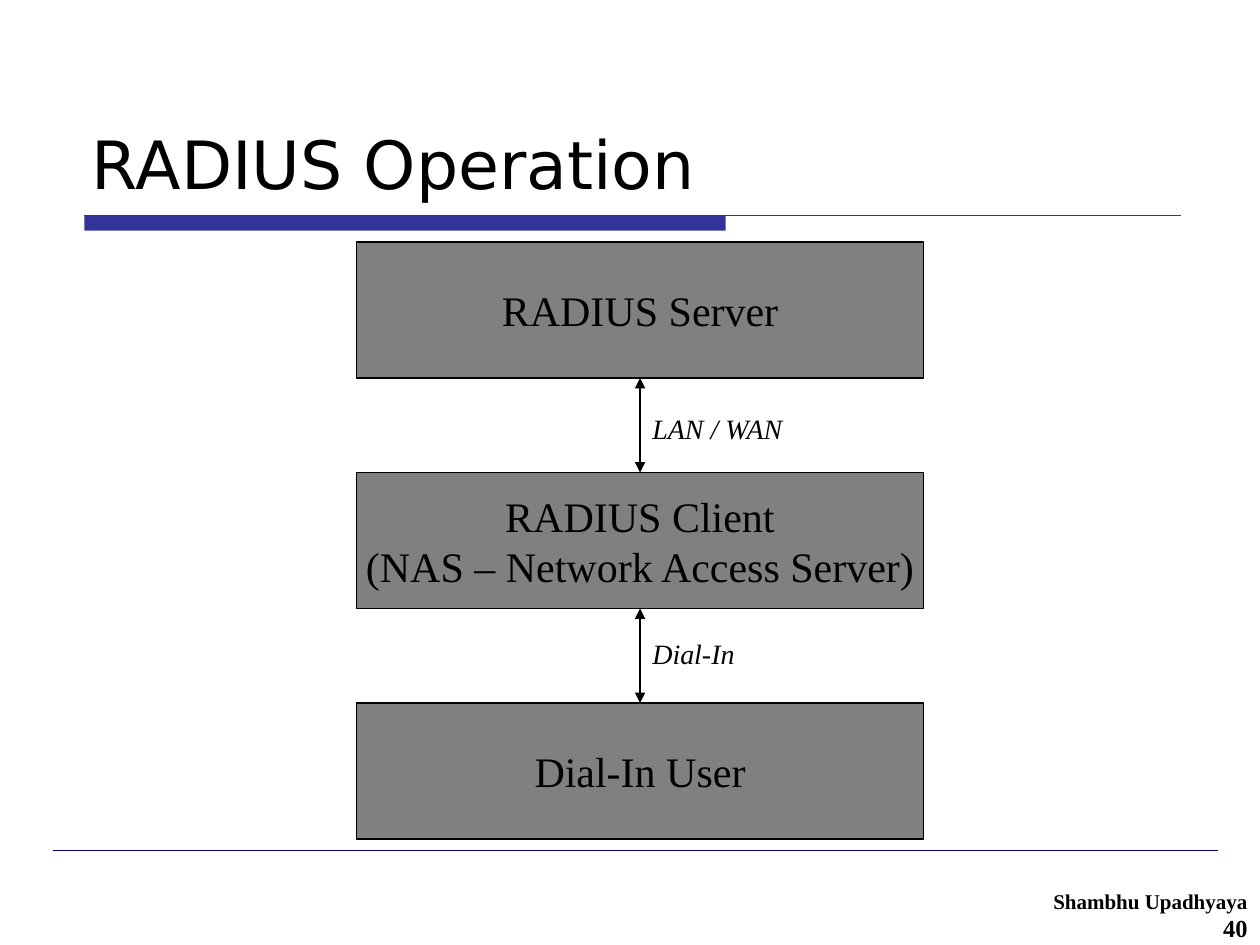
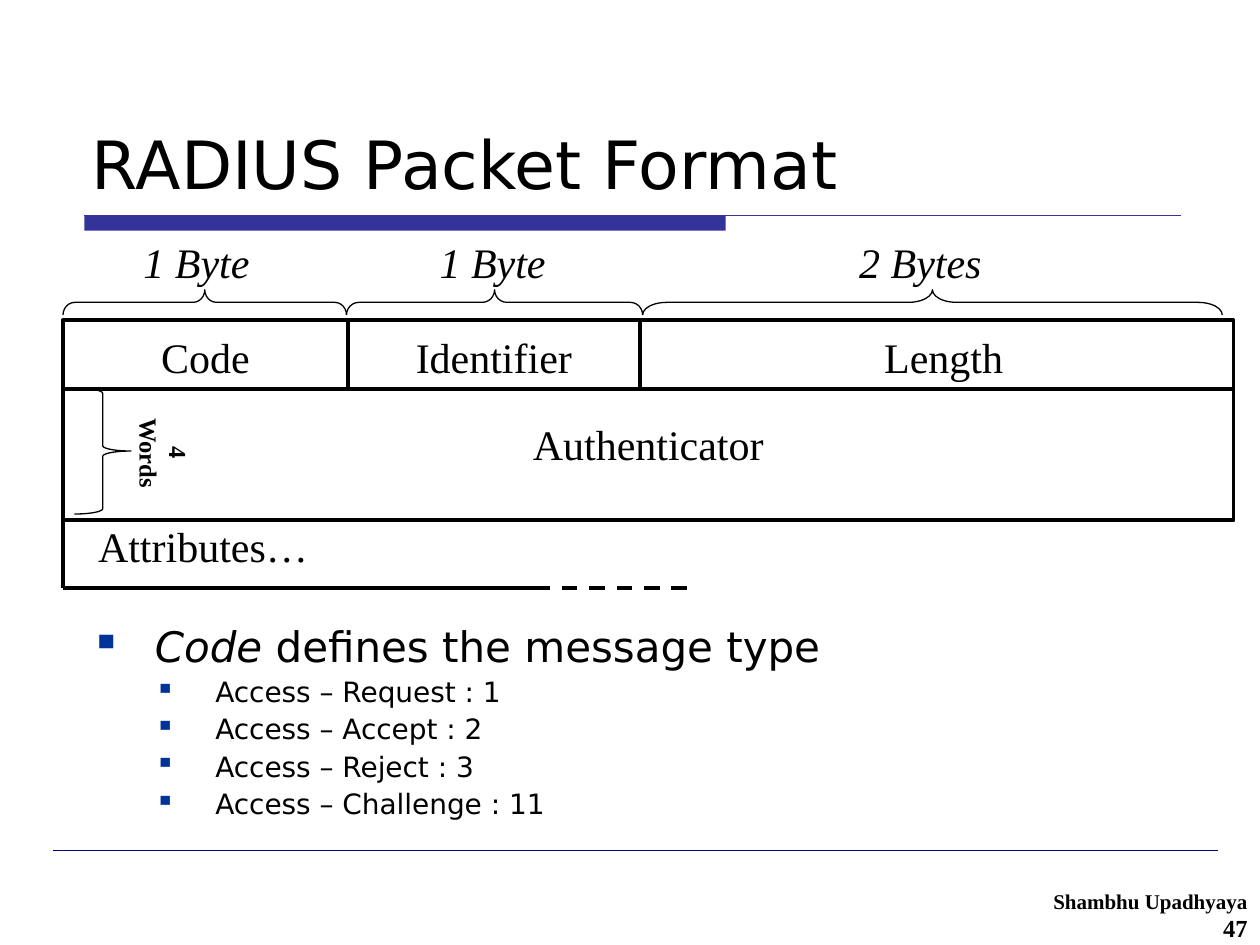
"""Builds two slides on RADIUS: its operation and its packet format."""
from dataclasses import dataclass

import pptx
import pptx.dml.color
import pptx.enum.dml
import pptx.enum.shapes
import pptx.enum.text
import pptx.oxml.ns
import pptx.util
from lxml import etree

Inches = pptx.util.Inches
Pt = pptx.util.Pt
SHAPE = pptx.enum.shapes.MSO_SHAPE
ALIGN = pptx.enum.text.PP_ALIGN
ANCHOR = pptx.enum.text.MSO_ANCHOR


@dataclass(frozen=True)
class Theme:
    """Colours, fonts, type sizes and line widths of the deck."""
    ink: str = "000000"
    band: str = "333399"
    footer_rule: str = "000080"
    bullet: str = "003399"
    node: str = "808080"
    sans: str = "DejaVu Sans"
    serif: str = "Times New Roman"
    title: int = 38
    large: int = 24
    medium: int = 16
    small: int = 14
    author: int = 12
    hairline: float = 0.25
    thin: float = 0.75
    thick: float = 2.25


@dataclass(frozen=True)
class Field:
    """A header field with its label, size note and brace positions."""
    name: str
    left: float
    width: float
    size: str
    size_left: float
    size_width: float
    brace_left: float
    brace_right: float


THEME = Theme()
TABLE_LEFT, TABLE_RIGHT = 0.5, 9.79
TABLE_TOP, HEADER_BOTTOM, TABLE_BOTTOM, ATTRIBUTES_BOTTOM = 2.54, 3.09, 4.13, 4.67
FIELDS = [
    Field("Code", 0.5, 2.26, "1 Byte", 1.04, 1.17, 0.5, 2.75),
    Field("Identifier", 2.79, 2.26, "1 Byte", 3.39, 1.17, 2.75, 5.1),
    Field("Length", 5.19, 4.6, "2 Bytes", 6.72, 1.35, 5.1, 9.7),
]
CODES = {"Request": 1, "Accept": 2, "Reject": 3, "Challenge": 11}


def rgb(value):
    """Return a colour object for a hex string."""
    return pptx.dml.color.RGBColor.from_string(value)


def style_run(r, size, font=THEME.serif, bold=False, italic=False):
    """Format one run in the ink colour."""
    r.font.size = Pt(size)
    r.font.name = font
    r.font.bold = bold
    r.font.italic = italic
    r.font.color.rgb = rgb(THEME.ink)


def fill_text(tf, text, size, align=ALIGN.LEFT, **style):
    """Set the text of a frame and format all its runs."""
    tf.text = text
    for p in tf.paragraphs:
        p.alignment = align
        for r in p.runs:
            style_run(r, size, **style)


def add_text(s, box, text, size, align=ALIGN.LEFT, **style):
    """Add a wrapping text box."""
    sp = s.shapes.add_textbox(*map(Inches, box))
    sp.text_frame.word_wrap = True
    fill_text(sp.text_frame, text, size, align, **style)
    return sp


def add_shape(s, kind, box, fill=None, line=None, width=THEME.thin):
    """Add a flat preset shape with an optional fill and outline."""
    sp = s.shapes.add_shape(kind, *map(Inches, box))
    sp.shadow.inherit = False
    if fill:
        sp.fill.solid()
        sp.fill.fore_color.rgb = rgb(fill)
    else:
        sp.fill.background()
    if line:
        sp.line.color.rgb = rgb(line)
        sp.line.width = Pt(width)
    else:
        sp.line.fill.background()
    return sp


def add_line(s, x1, y1, x2, y2, color=THEME.ink, width=THEME.thick):
    """Add a straight line without a shadow."""
    line = s.shapes.add_connector(
        pptx.enum.shapes.MSO_CONNECTOR.STRAIGHT, *map(Inches, (x1, y1, x2, y2)))
    line.line.color.rgb = rgb(color)
    line.line.width = Pt(width)
    etree.SubElement(line._element.spPr, pptx.oxml.ns.qn("a:effectLst"))
    return line


def add_link(s, upper, lower):
    """Join two stacked boxes with a double-headed arrow."""
    link = add_line(s, 0, 0, 1, 1, width=THEME.thin)
    link.begin_connect(upper, 2)
    link.end_connect(lower, 0)
    ln = link.line._get_or_add_ln()
    for end in ("a:headEnd", "a:tailEnd"):
        etree.SubElement(ln, pptx.oxml.ns.qn(end), type="triangle")


def add_node(s, top, text):
    """Add one party of the RADIUS exchange."""
    sp = add_shape(s, SHAPE.RECTANGLE, (2.83, top, 4.5, 1.08), THEME.node, THEME.ink)
    tf = sp.text_frame
    tf.word_wrap = False
    tf.vertical_anchor = ANCHOR.MIDDLE
    fill_text(tf, text, THEME.large, ALIGN.CENTER)
    return sp


def add_brace(s, kind, box, rotation=0):
    """Add a brace whose curls take a fixed share of its length."""
    sp = add_shape(s, kind, box, line=THEME.ink)
    sp.rotation = rotation
    sp.adjustments[0] = box[3] / 24 / box[2]


def add_top_brace(s, left, right):
    """Add a brace lying over a header field and pointing up."""
    depth, length = 0.2, right - left
    middle = (left + right) / 2
    add_brace(s, SHAPE.LEFT_BRACE,
              (middle - depth / 2, 2.4 - length / 2, depth, length), 90)


def set_bullet(p, margin, indent, space):
    """Give a paragraph a square bullet and a hanging indent."""
    pPr = p._p.get_or_add_pPr()
    pPr.set("marL", str(Inches(margin)))
    pPr.set("indent", str(Inches(-indent)))
    p.line_spacing = 0.9
    p.space_before = Pt(space)
    color = etree.SubElement(pPr, pptx.oxml.ns.qn("a:buClr"))
    etree.SubElement(color, pptx.oxml.ns.qn("a:srgbClr"), val=THEME.bullet)
    etree.SubElement(pPr, pptx.oxml.ns.qn("a:buChar"), char="▪")


def add_code_list(s):
    """Add the bulleted list of message codes."""
    sp = s.shapes.add_textbox(*map(Inches, (0.62, 4.92, 8.75, 1.75)))
    tf = sp.text_frame
    tf.word_wrap = True
    p = tf.paragraphs[0]
    set_bullet(p, 0.51, 0.51, 0)
    for text, italic in (("Code", True), (" defines the message type", False)):
        r = p.add_run()
        r.text = text
        style_run(r, THEME.large, THEME.sans, italic=italic)
    for name, code in CODES.items():
        p = tf.add_paragraph()
        p.text = f"Access – {name} : {code}"
        p.level = 1
        set_bullet(p, 0.99, 0.48, 4)
        style_run(p.runs[0], THEME.medium, THEME.sans)


def add_slide(prs, title, number):
    """Add a slide with its title, band, footer rule and footer."""
    s = prs.slides.add_slide(prs.slide_layouts[5])
    add_shape(s, SHAPE.RECTANGLE, (0.67, 1.71, 5.09, 0.12), THEME.band)
    add_line(s, 0.67, 1.71, 9.37, 1.71, THEME.band, THEME.thin)
    add_line(s, 0.42, 6.75, 9.67, 6.75, THEME.footer_rule, THEME.hairline)
    footer = add_text(s, (7.75, 7, 2.25, 0.5), f"Shambhu Upadhyaya\n{number}",
                      THEME.author, ALIGN.RIGHT, bold=True)
    footer.text_frame.paragraphs[1].runs[0].font.size = Pt(THEME.small)
    sp = s.shapes.title
    sp.left, sp.top, sp.width, sp.height = map(Inches, (0.63, 0.33, 8.75, 1.33))
    tf = sp.text_frame
    tf.auto_size = pptx.enum.text.MSO_AUTO_SIZE.NONE
    tf.vertical_anchor = ANCHOR.BOTTOM
    fill_text(tf, title, THEME.title, font=THEME.sans)
    return s


def build_operation(prs):
    """Build the slide showing who talks to whom."""
    s = add_slide(prs, "RADIUS Operation", 40)
    names = ["RADIUS Server", "RADIUS Client\n(NAS – Network Access Server)",
             "Dial-In User"]
    nodes = [add_node(s, 1.92 + 1.83 * i, name) for i, name in enumerate(names)]
    for upper, lower in zip(nodes, nodes[1:]):
        add_link(s, upper, lower)
    for top, text in ((3.22, "LAN / WAN"), (5, "Dial-In")):
        add_text(s, (5.08, top, 2.17, 0.37), text, THEME.medium, italic=True)


def build_packet_format(prs):
    """Build the slide showing the packet layout and message codes."""
    s = add_slide(prs, "RADIUS Packet Format", 47)
    add_code_list(s)
    width = TABLE_RIGHT - TABLE_LEFT
    add_shape(s, SHAPE.RECTANGLE,
              (TABLE_LEFT, TABLE_TOP, width, TABLE_BOTTOM - TABLE_TOP),
              line=THEME.ink, width=THEME.thick)
    add_line(s, TABLE_LEFT, HEADER_BOTTOM, TABLE_RIGHT, HEADER_BOTTOM)
    for x in (2.76, 5.08):
        add_line(s, x, TABLE_TOP, x, HEADER_BOTTOM)
    add_line(s, TABLE_LEFT, TABLE_BOTTOM, TABLE_LEFT, ATTRIBUTES_BOTTOM)
    add_line(s, TABLE_LEFT, ATTRIBUTES_BOTTOM, 4.29, ATTRIBUTES_BOTTOM)
    open_end = add_line(s, 4.24, ATTRIBUTES_BOTTOM, 5.5, ATTRIBUTES_BOTTOM)
    open_end.line.dash_style = pptx.enum.dml.MSO_LINE.DASH
    for f in FIELDS:
        add_text(s, (f.left, 2.58, f.width, 0.5), f.name, THEME.large, ALIGN.CENTER)
        add_text(s, (f.size_left, 1.83, f.size_width, 0.5), f.size, THEME.large,
                 italic=True)
        add_top_brace(s, f.brace_left, f.brace_right)
    add_text(s, (TABLE_LEFT, 3.27, width, 0.5), "Authenticator", THEME.large,
             ALIGN.CENTER)
    add_text(s, (0.68, 4.08, 4.6, 0.5), "Attributes…", THEME.large)
    add_brace(s, SHAPE.RIGHT_BRACE, (0.59, 3.08, 0.45, 1))
    words = add_text(s, (0.9, 3.31, 0.8, 0.57), "4 Words", THEME.small,
                     ALIGN.CENTER, bold=True)
    words.rotation = 90


def main():
    """Build and save the deck."""
    prs = pptx.Presentation()
    prs.slide_width, prs.slide_height = Inches(10), Inches(7.5)
    build_operation(prs)
    build_packet_format(prs)
    prs.save("out.pptx")


if __name__ == "__main__":
    main()
